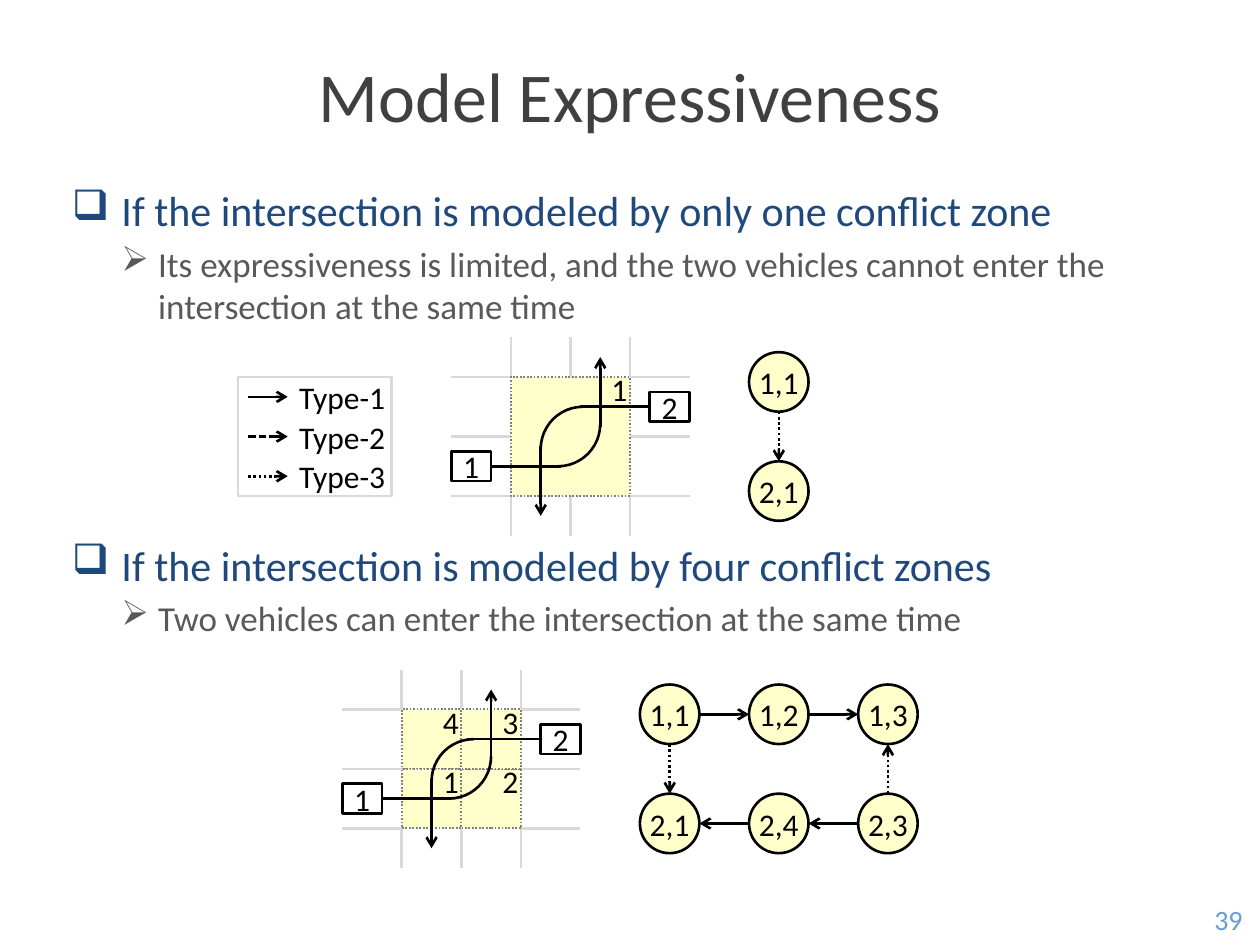
"""Build the slide comparing one and four conflict zones of an intersection."""
from dataclasses import dataclass
from math import hypot
from typing import Optional

from lxml.etree import SubElement
from pptx import Presentation
from pptx.dml.color import RGBColor
from pptx.enum.dml import MSO_LINE
from pptx.enum.shapes import MSO_CONNECTOR, MSO_SHAPE
from pptx.enum.text import MSO_ANCHOR, PP_ALIGN
from pptx.oxml.ns import qn
from pptx.util import Cm, Pt

COLORS = {
    "title": "404040", "heading": "1F497D", "detail": "595959", "number": "679CD6",
    "road": "D9D9D9", "zone": "FFFFCC", "zone_edge": "808080", "ink": "000000", "paper": "FFFFFF",
}
ZONE = 1.2
SIDE = 2 * ZONE
NODE = 1.2
NODE_PITCH = 2.2
DOTTED = MSO_LINE.ROUND_DOT
DASHED = MSO_LINE.SQUARE_DOT


@dataclass(frozen=True)
class Point:
    x: float
    y: float

    def shifted(self, x: float, y: float) -> "Point":
        return Point(self.x + x, self.y + y)


@dataclass(frozen=True)
class Zone:
    label: str
    column: int
    row: int
    side: float = ZONE


@dataclass(frozen=True)
class Node:
    label: str
    column: int
    row: int


@dataclass(frozen=True)
class Edge:
    source: str
    target: str
    dash: Optional[MSO_LINE] = None


@dataclass(frozen=True)
class Bullet:
    text: str
    symbol: str
    indent: float
    hanging: float
    size: int
    color: str
    before: float


@dataclass(frozen=True)
class Model:
    corner: Point
    zones: tuple[Zone, ...]
    graph: Point
    nodes: tuple[Node, ...]
    edges: tuple[Edge, ...]


BULLETS = (
    Bullet("If the intersection is modeled by only one conflict zone", "❑", 1, 1, 24, "heading", 0),
    Bullet("Its expressiveness is limited, and the two vehicles cannot enter the intersection "
           "at the same time", "➢", 1.74, 0.74, 20, "detail", 4),
    Bullet("If the intersection is modeled by four conflict zones", "❑", 1, 1, 24, "heading", 121.5),
    Bullet("Two vehicles can enter the intersection at the same time", "➢", 1.74, 0.74, 20, "detail", 4),
)
MODELS = (
    Model(Point(10.3, 7.6), (Zone("1", 0, 0, SIDE),), Point(15.1, 7.1),
          (Node("1,1", 0, 0), Node("2,1", 0, 1)), (Edge("1,1", "2,1", DOTTED),)),
    Model(Point(8.1, 14.3),
          (Zone("4", 0, 0), Zone("1", 0, 1), Zone("2", 1, 1), Zone("3", 1, 0)), Point(12.9, 13.8),
          (Node("1,1", 0, 0), Node("1,2", 1, 0), Node("1,3", 2, 0),
           Node("2,1", 0, 1), Node("2,4", 1, 1), Node("2,3", 2, 1)),
          (Edge("1,1", "1,2"), Edge("1,2", "1,3"), Edge("1,1", "2,1", DOTTED),
           Edge("2,3", "2,4"), Edge("2,4", "2,1"), Edge("2,3", "1,3", DOTTED))),
)
LEGEND = (("Type-1", None), ("Type-2", DASHED), ("Type-3", DOTTED))


def rgb(name: str) -> RGBColor:
    return RGBColor.from_string(COLORS[name])


def write(paragraph, text: str, *, size: int = 18, color: str = "ink", align=PP_ALIGN.CENTER) -> None:
    paragraph.alignment = align
    run = paragraph.add_run()
    run.text = text
    run.font.name = "Calibri"
    run.font.size = Pt(size)
    run.font.color.rgb = rgb(color)


def prepare_frame(shape, *, margins=(0, 0, 0, 0), anchor=MSO_ANCHOR.MIDDLE):
    frame = shape.text_frame
    frame.word_wrap = True
    frame.vertical_anchor = anchor
    frame.margin_left, frame.margin_top, frame.margin_right, frame.margin_bottom = map(Cm, margins)
    return frame


def add_label(slide, at: Point, width: float, height: float, text: str, **style) -> None:
    shape = slide.shapes.add_textbox(Cm(at.x), Cm(at.y), Cm(width), Cm(height))
    write(prepare_frame(shape).paragraphs[0], text, **style)


def add_figure(slide, kind, at: Point, width: float, height: float, *, fill: Optional[str] = None,
               line: str = "ink", weight: float = 1.5, dash=None):
    shape = slide.shapes.add_shape(kind, Cm(at.x), Cm(at.y), Cm(width), Cm(height))
    shape.shadow.inherit = False
    if fill:
        shape.fill.solid()
        shape.fill.fore_color.rgb = rgb(fill)
    else:
        shape.fill.background()
    shape.line.color.rgb = rgb(line)
    shape.line.width = Pt(weight)
    if dash:
        shape.line.dash_style = dash
    return shape


def add_line(slide, start: Point, end: Point, *, color: str = "ink", dash=None, arrow: bool = False) -> None:
    connector = slide.shapes.add_connector(
        MSO_CONNECTOR.STRAIGHT, Cm(start.x), Cm(start.y), Cm(end.x), Cm(end.y))
    connector.line.color.rgb = rgb(color)
    connector.line.width = Pt(1.5)
    if dash:
        connector.line.dash_style = dash
    if arrow:
        SubElement(connector.line._get_or_add_ln(), qn("a:tailEnd"), type="arrow")
    SubElement(connector._element.spPr, qn("a:effectLst"))


def add_bullets(slide) -> None:
    box = slide.shapes.add_textbox(Cm(1.2), Cm(3.6), Cm(23), Cm(14.4))
    frame = prepare_frame(box, margins=(0.25, 0.13, 0.25, 0.13), anchor=MSO_ANCHOR.TOP)
    for index, bullet in enumerate(BULLETS):
        paragraph = frame.add_paragraph() if index else frame.paragraphs[0]
        properties = paragraph._p.get_or_add_pPr()
        properties.set("marL", str(Cm(bullet.indent)))
        properties.set("indent", str(-Cm(bullet.hanging)))
        SubElement(properties, qn("a:buChar"), char=bullet.symbol)
        paragraph.space_before = Pt(bullet.before)
        write(paragraph, bullet.text, size=bullet.size, color=bullet.color, align=PP_ALIGN.LEFT)


def add_intersection(slide, model: Model) -> None:
    place = model.corner.shifted
    for offset in (0, ZONE, SIDE):
        for near, far in ((-1, 0), (0, 1)):
            base = SIDE * far
            add_line(slide, place(base + near * ZONE, offset), place(base + far * ZONE, offset), color="road")
            add_line(slide, place(offset, base + near * 0.8), place(offset, base + far * 0.8), color="road")
    for zone in model.zones:
        shape = add_figure(slide, MSO_SHAPE.RECTANGLE, place(zone.column * ZONE, zone.row * ZONE),
                           zone.side, zone.side, fill="zone", line="zone_edge", weight=1, dash=DOTTED)
        frame = prepare_frame(shape, margins=(0, 0, 0.05, zone.side - 0.5))
        write(frame.paragraphs[0], zone.label, align=PP_ALIGN.RIGHT)
    add_line(slide, place(2.8, 0.6), place(1.4, 0.6))
    add_line(slide, place(1.8, 1), place(1.8, -0.4), arrow=True)
    add_line(slide, place(-0.4, 1.8), place(1, 1.8))
    add_line(slide, place(0.6, 1.4), place(0.6, 2.8), arrow=True)
    for offset, rotation in ((0.1, 0), (0.6, 180)):
        turn = add_figure(slide, MSO_SHAPE.ARC, place(offset, offset), 1.7, 1.7)
        turn.adjustments[0], turn.adjustments[1] = 0, 54
        turn.rotation = rotation
    for label, x, y in (("1", -1.2, 1.5), ("2", 2.8, 0.3)):
        vehicle = add_figure(slide, MSO_SHAPE.RECTANGLE, place(x, y), 0.8, 0.6, fill="paper")
        write(prepare_frame(vehicle).paragraphs[0], label)


def add_graph(slide, model: Model) -> None:
    centers = {}
    for node in model.nodes:
        corner = model.graph.shifted(node.column * NODE_PITCH, node.row * NODE_PITCH)
        centers[node.label] = corner.shifted(NODE / 2, NODE / 2)
        shape = add_figure(slide, MSO_SHAPE.OVAL, corner, NODE, NODE, fill="zone")
        write(prepare_frame(shape).paragraphs[0], node.label)
    for edge in model.edges:
        start, end = centers[edge.source], centers[edge.target]
        x, y = end.x - start.x, end.y - start.y
        trim = NODE / 2 / hypot(x, y)
        add_line(slide, start.shifted(x * trim, y * trim), end.shifted(-x * trim, -y * trim),
                 dash=edge.dash, arrow=True)


def add_legend(slide) -> None:
    add_figure(slide, MSO_SHAPE.RECTANGLE, Point(4.8, 7.6), 3.1, SIDE, line="road")
    for index, (label, dash) in enumerate(LEGEND):
        y = 8 + 0.8 * index
        add_line(slide, Point(5, y), Point(5.8, y), dash=dash, arrow=True)
        add_label(slide, Point(6, y - 0.3), 1.8, 0.6, label)


def main() -> None:
    presentation = Presentation()
    presentation.slide_width, presentation.slide_height = Cm(25.4), Cm(19.05)
    slide = presentation.slides.add_slide(presentation.slide_layouts[6])
    add_label(slide, Point(1.2, 0.7), 23, 2.4, "Model Expressiveness", size=40, color="title")
    add_bullets(slide)
    add_label(slide, Point(24.13, 18.03), 1.27, 1.02, "39", size=16, color="number")
    for model in MODELS:
        add_intersection(slide, model)
        add_graph(slide, model)
    add_legend(slide)
    presentation.save("out.pptx")


if __name__ == "__main__":
    main()
